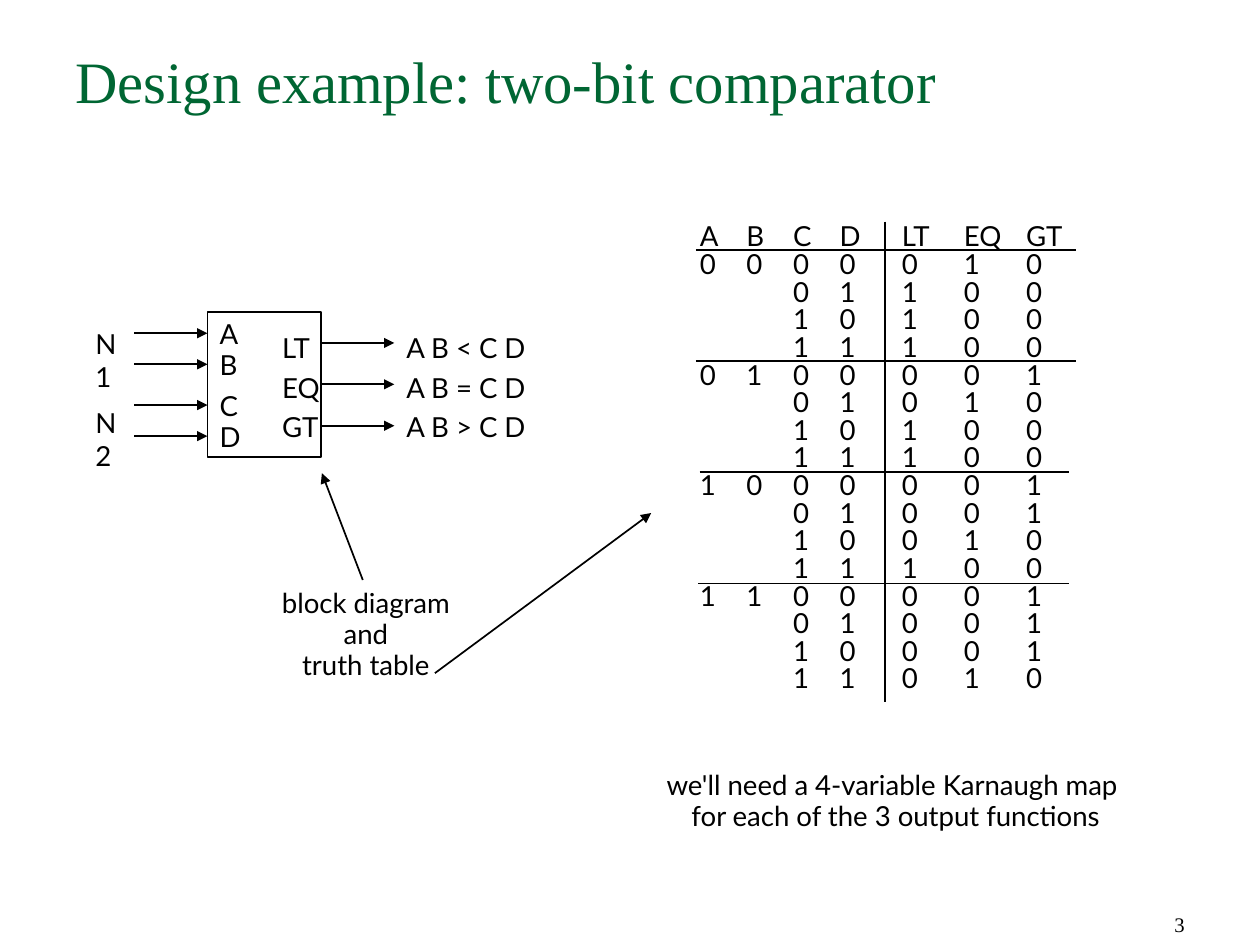
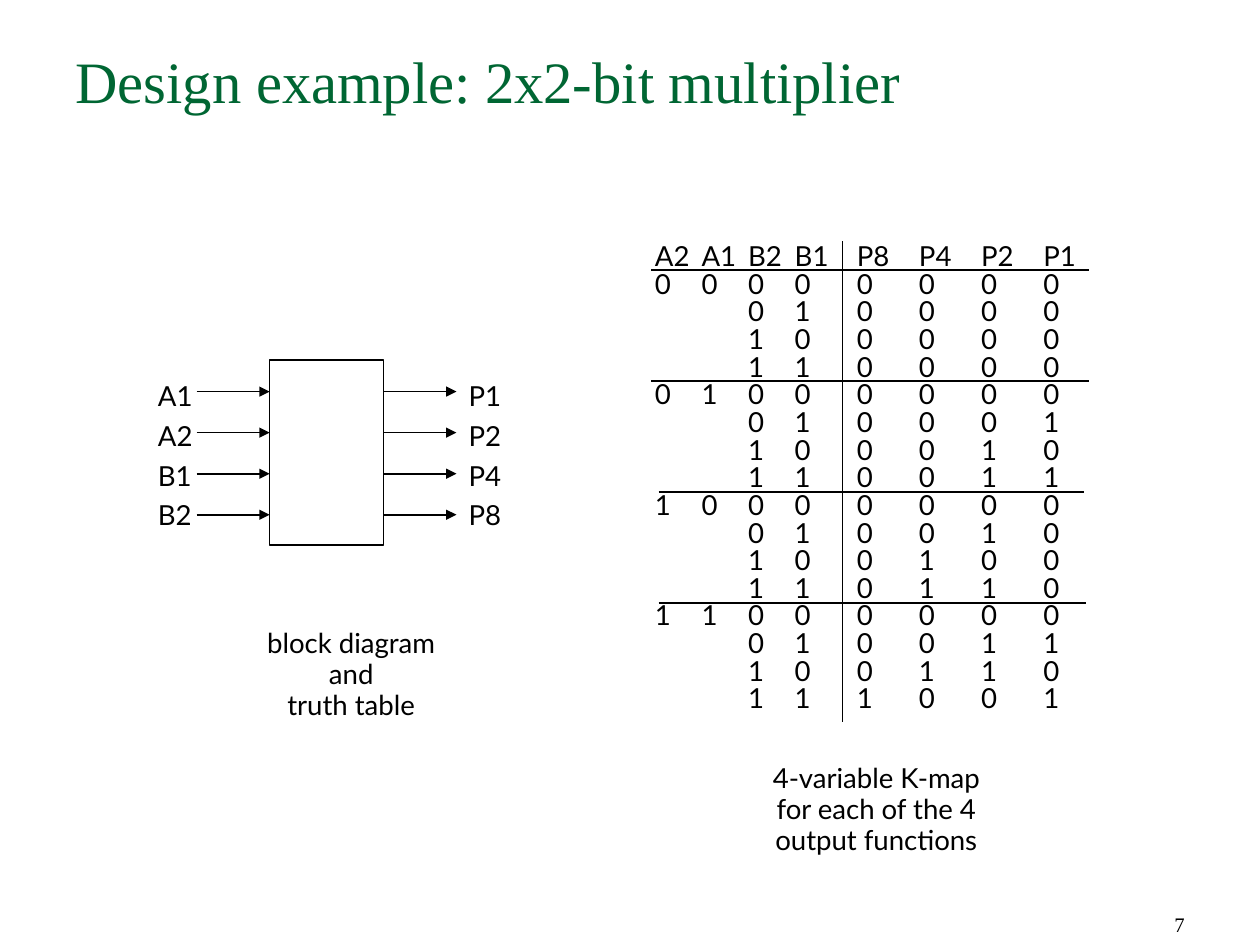
import itertools
from dataclasses import dataclass

import pptx
import pptx.util
import pptx.dml.color
import pptx.enum.shapes
import pptx.enum.text
import pptx.oxml.ns
from lxml import etree

Pt = pptx.util.Pt
qn = pptx.oxml.ns.qn
ALIGN = pptx.enum.text.PP_ALIGN


@dataclass(frozen=True)
class Theme:
    ink: str = "000000"
    title: str = "006633"
    serif: str = "Times New Roman"
    sans: str = "Lato"
    title_size: int = 34
    body_size: int = 16
    footer_size: int = 12
    empty_size: int = 8
    line: int = 1
    inset: tuple = (1.5, 2)
    frame_inset: tuple = (7.2, 3.6)


T = Theme()

# Content: pins are (labels, left, top, width, height, line spacing)
SLIDES = [
    dict(
        title="Design example: two-bit comparator", number="3",
        block=(120.2, 180.7, 66, 84.2),
        inputs=[193.2, 211.2, 234.8, 252.8],
        outputs=[198.8 + 24 * i for i in range(3)],
        pins=[
            (["N1"], 53.8, 187.5, 22.4, 42, None),
            (["N2"], 53.8, 233.5, 22.4, 42, None),
            (["A"], 125.8, 181.5, 20, 24, None),
            (["B"], 125.8, 199.5, 20, 24, None),
            (["C"], 125.8, 223.5, 20, 24, None),
            (["D"], 125.8, 241.5, 20, 24, None),
            (["LT", "EQ", "GT"], 162, 186, 28, 72, 1.2),
            (["A B < C D", "A B = C D", "A B > C D"], 234, 186, 115, 72, 1.2),
        ],
        table=(403.5, 130.5),
        rules=[(403.2, 623.5), (403.2, 623.5), (405.4, 619.2), (404.6, 619.2)],
        divider=512.6,
        head=["A", "B", "C", "D", "LT", "EQ", "GT"],
        results="010 100 100 100 001 010 100 100 "
                "001 001 010 100 001 001 001 010",
        captions=[
            (["block diagram", "and", "truth table"], 142.5, 339, 139, 64),
            (["we'll need a 4-variable Karnaugh map ",
              "for each of the 3 output functions"], 354, 444.2, 330, 46),
        ],
        pointers=[(210.2, 336.2, 186.5, 274.3), (252, 390.2, 377.3, 297.4)],
    ),
    dict(
        title="Design example: 2x2-bit multiplier", number="7",
        block=(156.2, 208.8, 66, 107.3),
        inputs=[227 + 23.8 * i for i in range(4)],
        outputs=[227 + 23.8 * i for i in range(4)],
        pins=[
            (["A1", "A2", "B1", "B2"], 90, 214, 29, 96, 1.2),
            (["P1", "P2", "P4", "P8"], 270, 214, 29, 96, 1.2),
        ],
        table=(377.5, 142),
        rules=[(377.3, 630.7), (377.3, 630.7), (381.6, 627.8), (381.6, 629.3)],
        divider=488.2,
        head=["A2", "A1", "B2", "B1", "P8", "P4", "P2", "P1"],
        results="0000 0000 0000 0000 0000 0001 0010 0011 "
                "0000 0010 0100 0110 0000 0011 0110 1001",
        captions=[
            (["block diagram", "and", "truth table"], 134, 362.2, 139, 64),
            (["4-variable K-map", "for each of the 4", "output functions"],
             420, 440, 175.5, 64),
        ],
        pointers=[],
    ),
]

ARROW_LENGTH = 42.3
ROW_HEIGHT = 16
INPUT_WIDTHS = [27, 27, 27, 29]
OUTPUT_WIDTH = 36
INPUT_MARGIN, OUTPUT_MARGIN = 2, 9
FIRST_RULE, RULE_STEP = 14.5, 64.4
DIVIDER_RISE, DIVIDER_LENGTH = 2, 278.3


# Helpers
def rgb(value):
    return pptx.dml.color.RGBColor.from_string(value)


def add_text(p, text, size, font, color):
    r = p.add_run()
    r.text = text
    r.font.size, r.font.name = Pt(size), font
    r.font.color.rgb = rgb(color)


def add_box(s, lines, left, top, width, height, size=T.body_size, font=T.sans,
            color=T.ink, align=ALIGN.LEFT, spacing=None, inset=T.inset,
            anchor=pptx.enum.text.MSO_ANCHOR.TOP):
    tf = s.shapes.add_textbox(Pt(left), Pt(top), Pt(width), Pt(height)).text_frame
    tf.word_wrap = True
    tf.vertical_anchor = anchor
    tf.margin_left = tf.margin_right = Pt(inset[0])
    tf.margin_top = tf.margin_bottom = Pt(inset[1])
    for i, line in enumerate(lines):
        p = tf.add_paragraph() if i else tf.paragraphs[0]
        p.alignment = align
        p.line_spacing = spacing
        add_text(p, line, size, font, color)


def add_line(s, x1, y1, x2, y2, arrow=False):
    c = s.shapes.add_connector(pptx.enum.shapes.MSO_CONNECTOR.STRAIGHT,
                               Pt(x1), Pt(y1), Pt(x2), Pt(y2))
    c.line.color.rgb = rgb(T.ink)
    c.line.width = Pt(T.line)
    if arrow:
        etree.SubElement(c.line._get_or_add_ln(), qn("a:tailEnd"), type="triangle")
    etree.SubElement(c._element.spPr, qn("a:effectLst"))


# Truth table: every input combination, with the first two shown once per group
def truth_rows(head, results):
    rows = [head]
    for i, (bits, out) in enumerate(zip(itertools.product("01", repeat=4),
                                        results.split())):
        lead = bits[:2] if i % 4 == 0 else ("", "")
        rows.append([*lead, *bits[2:], *out])
    return rows


def fill_cell(cell, value, margin):
    cell.margin_left = Pt(margin)
    cell.margin_right = cell.margin_top = cell.margin_bottom = 0
    cell.fill.background()
    p = cell.text_frame.paragraphs[0]
    p.line_spacing = Pt(ROW_HEIGHT)
    if value:
        add_text(p, value, T.body_size, T.sans, T.ink)
    else:  # a small end mark keeps an empty cell from stretching its row
        etree.SubElement(p._p, qn("a:endParaRPr"), sz=str(T.empty_size * 100))


def add_truth_table(s, left, top, rows):
    inputs = len(INPUT_WIDTHS)
    widths = INPUT_WIDTHS + [OUTPUT_WIDTH] * (len(rows[0]) - inputs)
    table = s.shapes.add_table(len(rows), len(widths), Pt(left), Pt(top),
                               Pt(sum(widths)), Pt(ROW_HEIGHT * len(rows))).table
    table.first_row = table.horz_banding = False
    no_grid = "{2D5ABB26-0587-4C30-8999-92F81FD0307C}"
    table._tbl.tblPr.find(qn("a:tableStyleId")).text = no_grid
    for column, width in zip(table.columns, widths):
        column.width = Pt(width)
    for y, values in enumerate(rows):
        table.rows[y].height = Pt(ROW_HEIGHT)
        for x, value in enumerate(values):
            margin = INPUT_MARGIN if x < inputs else OUTPUT_MARGIN
            fill_cell(table.cell(y, x), value, margin)


# Rules above each group of rows, and the divider between inputs and outputs
def add_rules(s, top, rules, divider):
    for i, (x1, x2) in enumerate(rules):
        y = top + FIRST_RULE + RULE_STEP * i
        add_line(s, x1, y, x2, y)
    y = top - DIVIDER_RISE
    add_line(s, divider, y, divider, y + DIVIDER_LENGTH)


# Block diagram: outline, arrows in and out, pin labels
def add_block_diagram(s, block, inputs, outputs, pins):
    left, top, width, height = block
    sp = s.shapes.add_shape(pptx.enum.shapes.MSO_SHAPE.RECTANGLE,
                            Pt(left), Pt(top), Pt(width), Pt(height))
    sp.shadow.inherit = False
    sp.fill.background()
    sp.line.color.rgb = rgb(T.ink)
    sp.line.width = Pt(T.line)
    starts = [(left - ARROW_LENGTH, y) for y in inputs]
    starts += [(left + width, y) for y in outputs]
    for x, y in starts:
        add_line(s, x, y, x + ARROW_LENGTH, y, arrow=True)
    for labels, *place, spacing in pins:
        add_box(s, labels, *place, spacing=spacing)


# Shared title and slide number
def add_frame(s, title, number):
    add_box(s, [title], 36.7, 22.5, 656.5, 90.5, T.title_size, T.serif, T.title,
            inset=T.frame_inset)
    add_box(s, [number], 523, 510.2, 170.5, 36.5, T.footer_size, T.serif,
            align=ALIGN.RIGHT, inset=T.frame_inset,
            anchor=pptx.enum.text.MSO_ANCHOR.BOTTOM)


def main():
    prs = pptx.Presentation()
    prs.slide_width, prs.slide_height = Pt(730), Pt(547.2)
    for d in SLIDES:
        s = prs.slides.add_slide(prs.slide_layouts[6])
        add_frame(s, d["title"], d["number"])
        add_block_diagram(s, d["block"], d["inputs"], d["outputs"], d["pins"])
        add_truth_table(s, *d["table"], truth_rows(d["head"], d["results"]))
        add_rules(s, d["table"][1], d["rules"], d["divider"])
        for lines, *place in d["captions"]:
            add_box(s, lines, *place, align=ALIGN.CENTER, spacing=Pt(18))
        for ends in d["pointers"]:
            add_line(s, *ends, arrow=True)
    prs.save("out.pptx")


if __name__ == "__main__":
    main()
